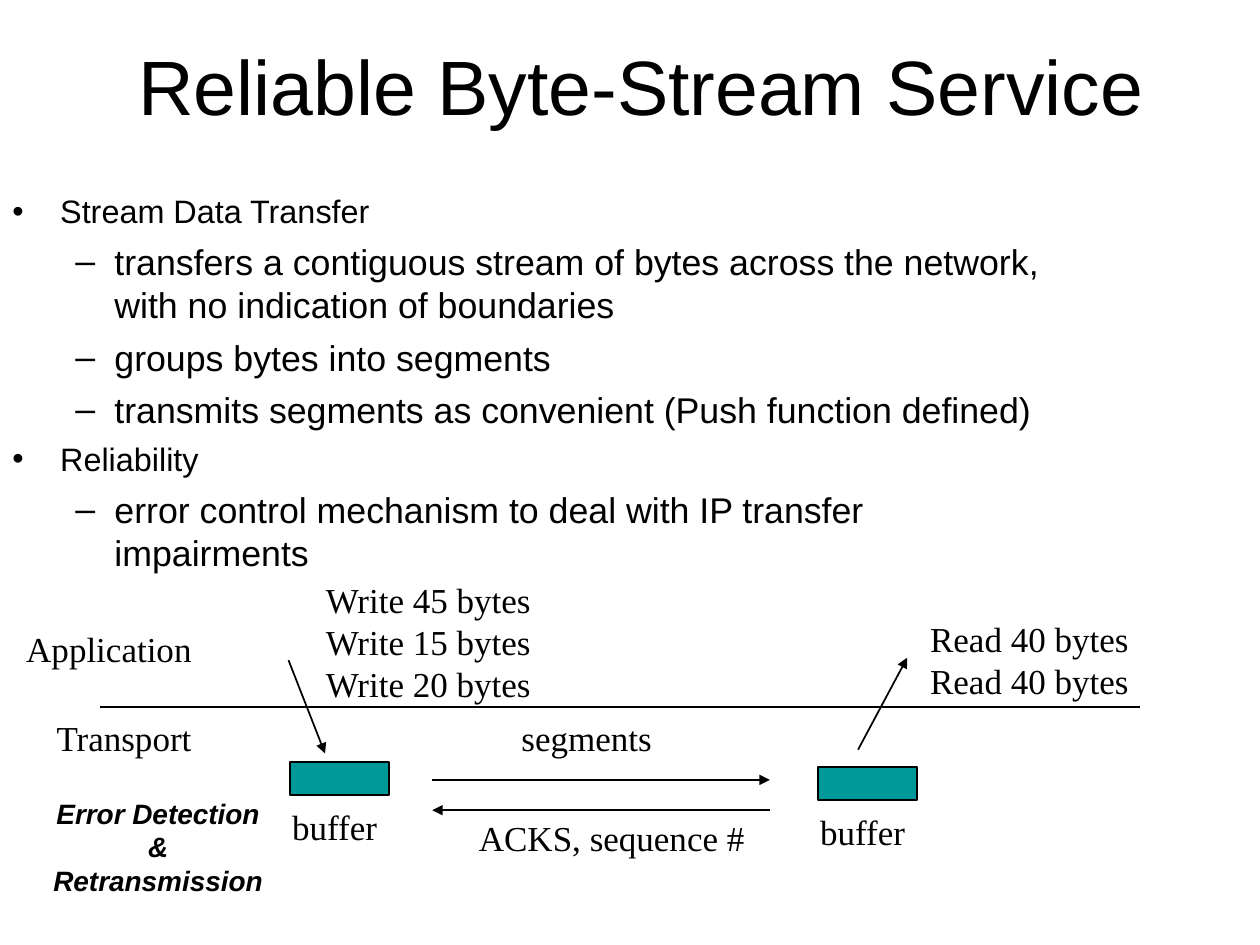
from lxml.etree import SubElement
from pptx import Presentation
from pptx.dml.color import RGBColor
from pptx.enum.shapes import MSO_CONNECTOR, MSO_SHAPE
from pptx.enum.text import MSO_ANCHOR, MSO_AUTO_SIZE, PP_ALIGN
from pptx.oxml.ns import qn
from pptx.util import Inches, Pt

COLORS = {"ink": "000000", "buffer": "009999"}
SERIF = "Times New Roman"
SANS = "Arial"

presentation = Presentation()
presentation.slide_width = Inches(10)
presentation.slide_height = Inches(7.5)
slide = presentation.slides.add_slide(presentation.slide_layouts[6])


def add_text(text, left, top, width, height, size=20, font=SERIF,
             align=PP_ALIGN.LEFT, wrap=False, bold=False):
    box = slide.shapes.add_textbox(Inches(left), Inches(top), Inches(width), Inches(height))
    text_frame = box.text_frame
    text_frame.word_wrap = wrap
    text_frame.auto_size = MSO_AUTO_SIZE.NONE if wrap else MSO_AUTO_SIZE.SHAPE_TO_FIT_TEXT
    text_frame.text = text
    for paragraph in text_frame.paragraphs:
        paragraph.alignment = align
        for run in paragraph.runs:
            run.font.name = font
            run.font.size = Pt(size)
            run.font.bold = bold
            run.font.italic = bold
            run.font.color.rgb = RGBColor.from_string(COLORS["ink"])
    return text_frame


def add_line(start_x, start_y, end_x, end_y, arrow=True):
    line = slide.shapes.add_connector(
        MSO_CONNECTOR.STRAIGHT, Inches(start_x), Inches(start_y), Inches(end_x), Inches(end_y))
    line.line.color.rgb = RGBColor.from_string(COLORS["ink"])
    line.line.width = Pt(1)
    if arrow:
        SubElement(line.line._get_or_add_ln(), qn("a:tailEnd"), type="triangle")
    SubElement(line._element.spPr, qn("a:effectLst"))


title = add_text("Reliable Byte-Stream Service", 0.59, 0.05, 9, 1.25,
                 size=44, font=SANS, align=PP_ALIGN.CENTER, wrap=True)
title.vertical_anchor = MSO_ANCHOR.MIDDLE

outline = [
    (0, "Stream Data Transfer"),
    (1, "transfers a contiguous stream of bytes across the network, "
        "with no indication of boundaries"),
    (1, "groups bytes into segments"),
    (1, "transmits segments as convenient (Push function defined)"),
    (0, "Reliability"),
    (1, "error control mechanism to deal with IP transfer impairments"),
]
level_styles = [("•", 0.38, -0.38, 18.5, 5), ("–", 0.81, -0.31, 20.4, 5.5)]
body = add_text("\n".join(text for level, text in outline), 0, 1.47, 8.54, 2.92,
                font=SANS, wrap=True)
for index, (paragraph, (level, text)) in enumerate(zip(body.paragraphs, outline)):
    bullet, margin, indent, size, space = level_styles[level]
    paragraph.level = level
    paragraph.space_before = Pt(space if index else 0)
    properties = paragraph._p.get_or_add_pPr()
    properties.set("marL", str(Inches(margin)))
    properties.set("indent", str(Inches(indent)))
    SubElement(properties, qn("a:buFont"), typeface=SANS)
    SubElement(properties, qn("a:buChar"), char=bullet)
    paragraph.runs[0].font.size = Pt(size)

add_line(0.79, 5.61, 9.05, 5.61, arrow=False)
for ends in [
    (2.29, 5.24, 2.58, 5.98),
    (6.81, 5.95, 7.2, 5.22),
    (3.43, 6.19, 6.11, 6.19),
    (6.11, 6.43, 3.43, 6.43),
]:
    add_line(*ends)

for left, top in [(2.3, 6.05), (6.49, 6.09)]:
    buffer = slide.shapes.add_shape(
        MSO_SHAPE.RECTANGLE, Inches(left), Inches(top), Inches(0.79), Inches(0.26))
    buffer.shadow.inherit = False
    buffer.fill.solid()
    buffer.fill.fore_color.rgb = RGBColor.from_string(COLORS["buffer"])
    buffer.line.color.rgb = RGBColor.from_string(COLORS["ink"])
    buffer.line.width = Pt(1)
    add_text("buffer", left - 0.08, top + 0.29, 0.88, 0.43)

for text, left, top, width in [
    ("Application", 0.11, 4.93, 1.53),
    ("Transport", 0.35, 5.64, 1.28),
    ("segments", 4.04, 5.64, 1.25),
]:
    add_text(text, left, top, width, 0.43)

for text, left, top, width, height in [
    ("Write 45 bytes\nWrite 15 bytes\nWrite 20 bytes", 2.48, 4.54, 1.84, 1.1),
    ("Read 40 bytes\nRead 40 bytes", 7.28, 4.85, 1.78, 0.76),
    ("ACKS, sequence #", 3.7, 6.43, 2.31, 0.43),
]:
    add_text(text, left, top, width, height, align=PP_ALIGN.CENTER)

add_text("Error Detection & Retransmission", 0.27, 6.27, 1.97, 0.9,
         size=16, font=SANS, align=PP_ALIGN.CENTER, wrap=True, bold=True)

presentation.save("out.pptx")
